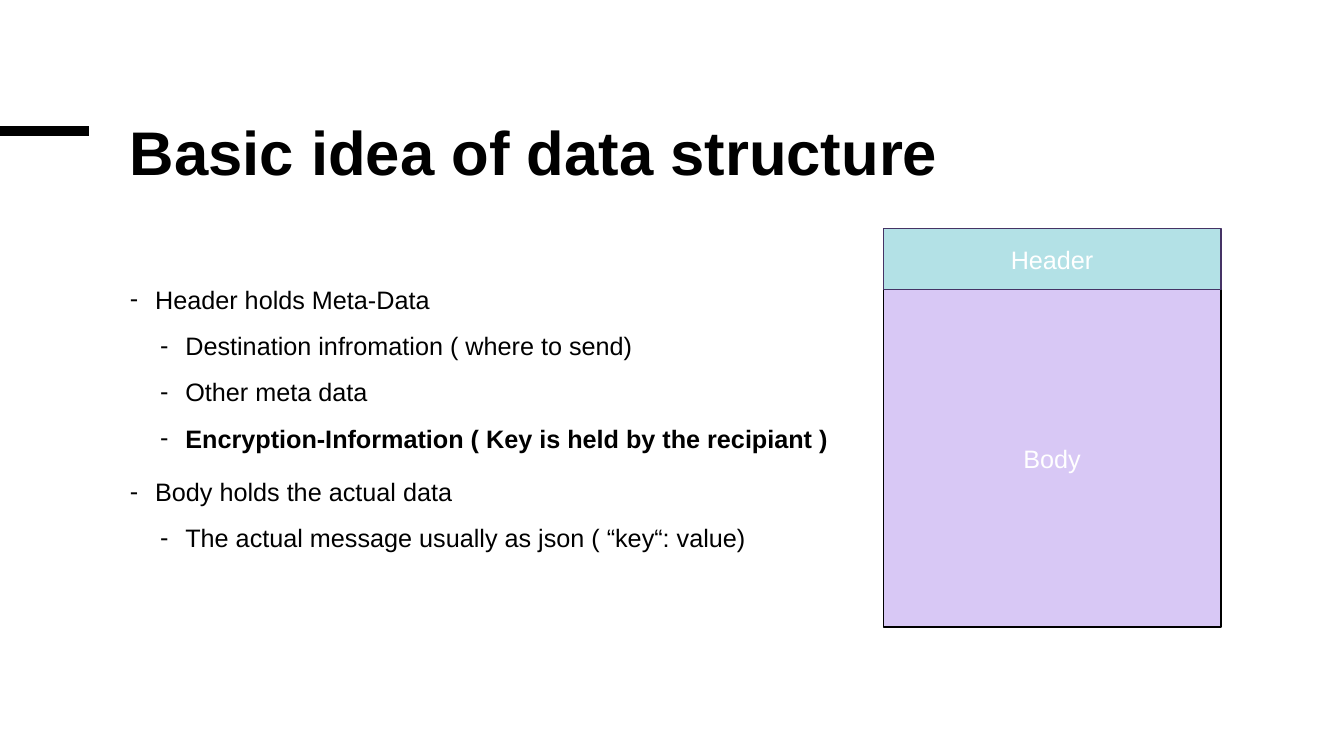
from dataclasses import dataclass

from lxml import etree
from pptx import Presentation
from pptx.dml.color import RGBColor
from pptx.enum.shapes import MSO_CONNECTOR, MSO_SHAPE
from pptx.enum.text import MSO_ANCHOR, PP_ALIGN
from pptx.oxml.ns import qn
from pptx.util import Inches, Pt

LINE = MSO_CONNECTOR.STRAIGHT
RECT = MSO_SHAPE.RECTANGLE
TOP, MIDDLE = MSO_ANCHOR.TOP, MSO_ANCHOR.MIDDLE
LEFT, CENTER = PP_ALIGN.LEFT, PP_ALIGN.CENTER


@dataclass(frozen=True)
class Theme:
    font: str = "Arial"
    ink: str = "000000"
    paper: str = "FFFFFF"
    lilac: str = "D8C8F5"
    aqua: str = "B3E1E6"
    plum: str = "453365"
    title: int = 44
    text: int = 18


def rgb(code):
    return RGBColor.from_string(code)


def write(para, text, *, font, size, color, bold=False, align=LEFT,
          space=1.0, before=0):
    """Fill one paragraph with formatted text."""
    para.alignment = align
    para.line_spacing = space
    para.space_before = Pt(before)
    run = para.add_run()
    run.text = text
    run.font.name = font
    run.font.size = Pt(size)
    run.font.bold = bold
    run.font.color.rgb = rgb(color)


def dash(para, indent):
    """Give a paragraph a hanging dash bullet."""
    props = para._p.get_or_add_pPr()
    props.set("marL", str(Inches(indent)))
    props.set("indent", str(Inches(-0.25)))
    etree.SubElement(props, qn("a:buFont")).set("typeface", "Arial")
    etree.SubElement(props, qn("a:buChar")).set("char", "-")


class Painter:
    def __init__(self, slide, theme):
        self.slide = slide
        self.theme = theme

    def rule(self, x, y, end, width):
        line = self.slide.shapes.add_connector(
            LINE, Inches(x), Inches(y), Inches(end), Inches(y))
        line.line.color.rgb = rgb(self.theme.ink)
        line.line.width = Pt(width)
        etree.SubElement(line._element.spPr, qn("a:effectLst"))

    def frame(self, x, y, w, h):
        box = self.slide.shapes.add_textbox(
            Inches(x), Inches(y), Inches(w), Inches(h))
        frame = box.text_frame
        frame.word_wrap = True
        frame.vertical_anchor = TOP
        return frame

    def title(self, text, *place):
        look = self.theme
        write(self.frame(*place).paragraphs[0], text, font=look.font,
              size=look.title, color=look.ink, bold=True, space=0.85)

    def bullets(self, items, *place):
        look = self.theme
        frame = self.frame(*place)
        for i, (level, text, bold) in enumerate(items):
            para = frame.add_paragraph() if i else frame.paragraphs[0]
            para.level = level
            write(para, text, font=look.font, size=look.text, color=look.ink,
                  bold=bold, space=1.3, before=5 if level else 10)
            dash(para, 0.55 if level else 0.25)

    def block(self, group, text, fill, edge, x, y, w, h):
        look = self.theme
        box = group.shapes.add_shape(
            RECT, Inches(x), Inches(y), Inches(w), Inches(h))
        box.shadow.inherit = False
        box.fill.solid()
        box.fill.fore_color.rgb = rgb(fill)
        box.line.color.rgb = rgb(edge)
        box.line.width = Pt(1)
        box.text_frame.vertical_anchor = MIDDLE
        write(box.text_frame.paragraphs[0], text, font=look.font,
              size=look.text, color=look.paper, align=CENTER)


ITEMS = [
    (0, "Header holds Meta-Data", False),
    (1, "Destination infromation ( where to send)", False),
    (1, "Other meta data", False),
    (1, "Encryption-Information ( Key is held by the recipiant )", True),
    (0, "Body holds the actual data", False),
    (1, "The actual message usually as json ( “key“: value)", False),
]


def main():
    deck = Presentation()
    deck.slide_width, deck.slide_height = Inches(13.33), Inches(7.5)
    slide = deck.slides.add_slide(deck.slide_layouts[6])
    look = Theme()
    slide.background.fill.solid()
    slide.background.fill.fore_color.rgb = rgb(look.paper)
    art = Painter(slide, look)

    # Accent rule and title
    art.rule(0, 1.3, 0.88, 6.75)
    art.title("Basic idea of data structure", 1.19, 1.19, 10.85, 1.42)

    # Explanation
    art.bullets(ITEMS, 1.19, 2.68, 10.85, 4.2)

    # Message diagram: header stacked on body
    left, top, side, head = 8.76, 2.27, 3.35, 0.6
    group = slide.shapes.add_group_shape()
    art.block(group, "Body", look.lilac, look.ink, left, top + head, side, side)
    art.block(group, "Header", look.aqua, look.plum, left, top, side, head)

    deck.save("out.pptx")


if __name__ == "__main__":
    main()
